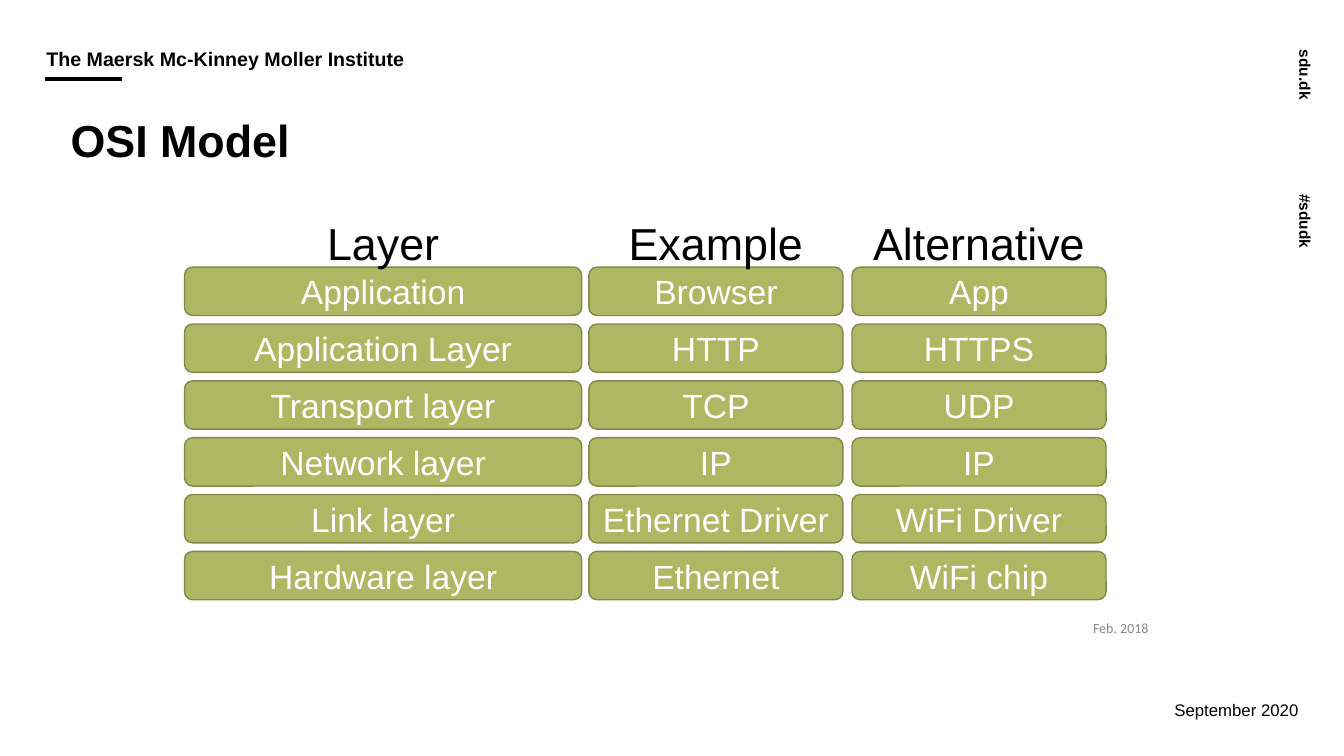
from dataclasses import dataclass, field

from lxml.etree import SubElement
from pptx import Presentation
from pptx.dml.color import RGBColor
from pptx.enum.shapes import MSO_CONNECTOR, MSO_SHAPE
from pptx.enum.text import MSO_ANCHOR, PP_ALIGN
from pptx.oxml.ns import qn
from pptx.shapes.autoshape import Shape
from pptx.slide import Slide
from pptx.util import Inches, Pt

BLACK = RGBColor(0x00, 0x00, 0x00)
WHITE = RGBColor(0xFF, 0xFF, 0xFF)
GREY = RGBColor(0x89, 0x89, 0x89)
GREEN = RGBColor(0xAE, 0xB8, 0x62)
DARK_GREEN = RGBColor(0x81, 0x88, 0x49)

DEFAULT_INSETS = (0.1, 0.05, 0.1, 0.05)
NO_INSETS = (0, 0, 0, 0)


@dataclass
class TextStyle:
    size: float
    bold: bool = False
    color: RGBColor = BLACK
    name: str = "Arial"
    align: PP_ALIGN = PP_ALIGN.LEFT
    anchor: MSO_ANCHOR = MSO_ANCHOR.TOP
    insets: tuple[float, float, float, float] = NO_INSETS
    spacing: float = 1.0


@dataclass
class Label:
    text: str
    box: tuple[float, float, float, float]
    style: TextStyle
    rotation: float = 0


@dataclass
class Column:
    heading: str
    left: float
    width: float
    cells: list[str] = field(default_factory=list)


# Text styles
SIDE = TextStyle(11, bold=True, anchor=MSO_ANCHOR.BOTTOM)
INSTITUTE = TextStyle(14, bold=True, anchor=MSO_ANCHOR.BOTTOM,
                      insets=(0.01, 0, 0, 0.1), spacing=0.9)
TITLE = TextStyle(32, bold=True, spacing=0.97)
DATE = TextStyle(12, align=PP_ALIGN.RIGHT)
SOURCE_DATE = TextStyle(10, color=GREY, name="Calibri", align=PP_ALIGN.RIGHT)
HEADING = TextStyle(32, align=PP_ALIGN.CENTER, insets=DEFAULT_INSETS)
CELL = TextStyle(24, color=WHITE, align=PP_ALIGN.CENTER,
                 anchor=MSO_ANCHOR.MIDDLE, insets=DEFAULT_INSETS)

# Content
LABELS = [
    Label("sdu.dk", (12.56, 0.79, 1, 0.41), SIDE, 90),
    Label("#sdudk", (12.56, 2.22, 1, 0.41), SIDE, 90),
    Label("September 2020", (10.01, 6.94, 2.87, 0.2), DATE),
    Label("The Maersk Mc-Kinney Moller Institute", (0.45, 0.49, 6.22, 0.31), INSTITUTE),
    Label("Feb. 2018", (8.94, 6.15, 2.45, 0.2), SOURCE_DATE),
]
COLUMNS = [
    Column("Layer", 1.83, 3.94, ["Application", "Application Layer", "Transport layer",
                                 "Network layer", "Link layer", "Hardware layer"]),
    Column("Example", 5.84, 2.52, ["Browser", "HTTP", "TCP", "IP",
                                   "Ethernet Driver", "Ethernet"]),
    Column("Alternative", 8.45, 2.52, ["App", "HTTPS", "UDP", "IP",
                                       "WiFi Driver", "WiFi chip"]),
]
HEADING_TOP, HEADING_HEIGHT = 2.09, 0.64
FIRST_ROW_TOP, LAST_ROW_TOP, ROW_HEIGHT = 2.65, 5.47, 0.48


def write_text(sp: Shape, text: str, style: TextStyle) -> None:
    tf = sp.text_frame
    left, top, right, bottom = (Inches(v) for v in style.insets)
    frame_format = {"word_wrap": True, "vertical_anchor": style.anchor,
                    "margin_left": left, "margin_top": top,
                    "margin_right": right, "margin_bottom": bottom}
    for key, value in frame_format.items():
        setattr(tf, key, value)
    p = tf.paragraphs[0]
    p.alignment = style.align
    p.line_spacing = style.spacing
    r = p.add_run()
    r.text = text
    for key, value in {"name": style.name, "size": Pt(style.size), "bold": style.bold}.items():
        setattr(r.font, key, value)
    r.font.color.rgb = style.color


def add_label(s: Slide, label: Label) -> None:
    sp = s.shapes.add_textbox(*(Inches(v) for v in label.box))
    sp.rotation = label.rotation
    write_text(sp, label.text, label.style)


def add_title(s: Slide, text: str) -> None:
    sp = s.shapes.title
    place = {"left": 0.7, "top": 1.15, "width": 9, "height": 1.25}
    for key, value in place.items():
        setattr(sp, key, Inches(value))
    write_text(sp, text, TITLE)


def add_rule(s: Slide) -> None:
    line = s.shapes.add_connector(MSO_CONNECTOR.STRAIGHT, Inches(0.45), Inches(0.78),
                                  Inches(1.21), Inches(0.78))
    line.line.color.rgb = BLACK
    line.line.width = Pt(3)
    SubElement(line._element.spPr, qn("a:effectLst"))


def add_cell(s: Slide, text: str, left: float, top: float, width: float) -> None:
    sp = s.shapes.add_shape(MSO_SHAPE.ROUNDED_RECTANGLE, Inches(left), Inches(top),
                            Inches(width), Inches(ROW_HEIGHT))
    sp.shadow.inherit = False
    sp.fill.solid()
    sp.fill.fore_color.rgb = GREEN
    sp.line.color.rgb = DARK_GREEN
    sp.line.width = Pt(1)
    write_text(sp, text, CELL)


def add_column(s: Slide, column: Column) -> None:
    pitch = (LAST_ROW_TOP - FIRST_ROW_TOP) / (len(column.cells) - 1)
    for row, text in enumerate(column.cells):
        add_cell(s, text, column.left, FIRST_ROW_TOP + row * pitch, column.width)
    add_label(s, Label(column.heading,
                       (column.left, HEADING_TOP, column.width, HEADING_HEIGHT), HEADING))


def main() -> None:
    prs = Presentation()
    prs.slide_width, prs.slide_height = Inches(13.33), Inches(7.5)
    s = prs.slides.add_slide(prs.slide_layouts[5])

    # Page frame and title
    add_title(s, "OSI Model")
    add_rule(s)
    for label in LABELS:
        add_label(s, label)

    # Layer grid
    for column in COLUMNS:
        add_column(s, column)

    prs.save("out.pptx")


if __name__ == "__main__":
    main()
